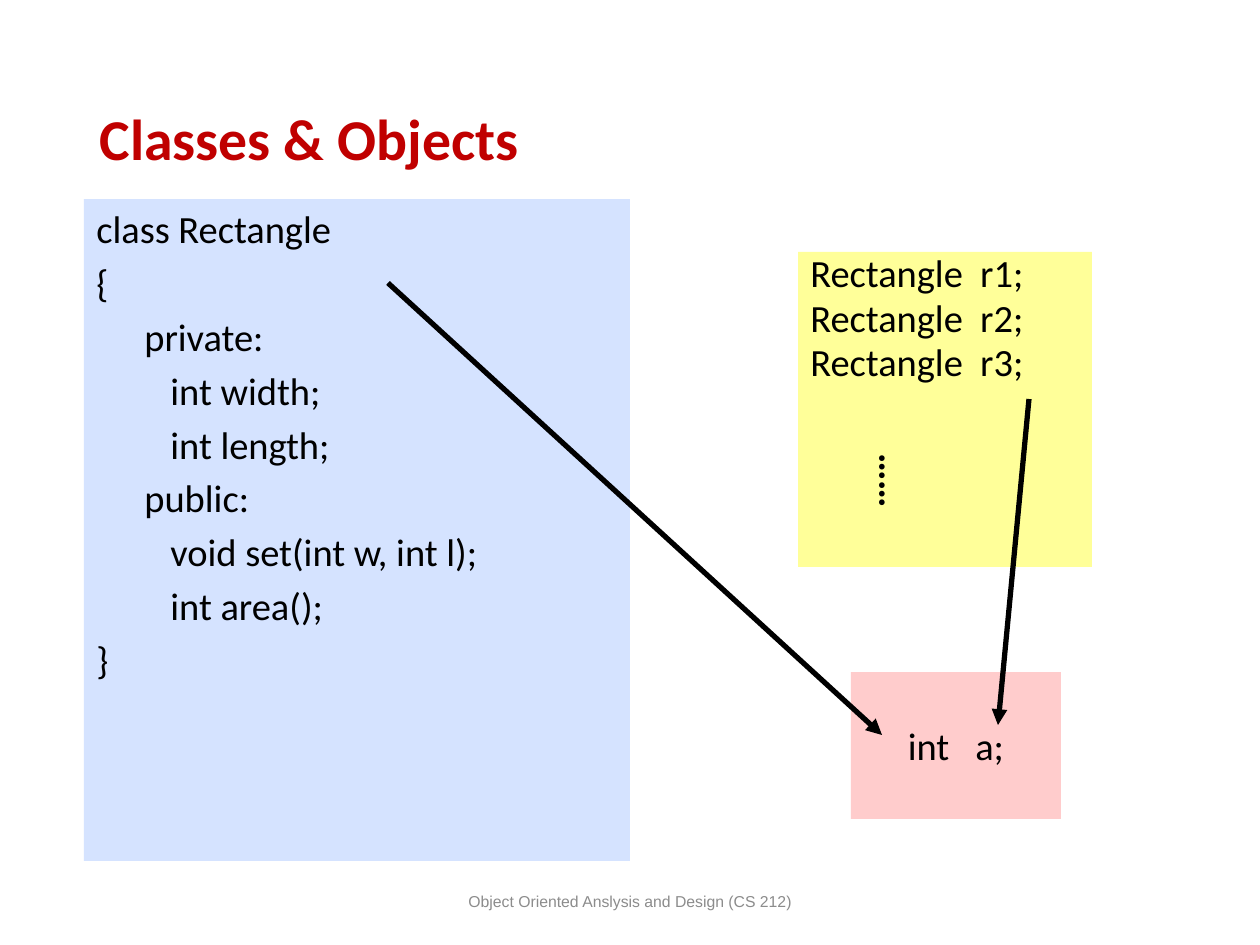
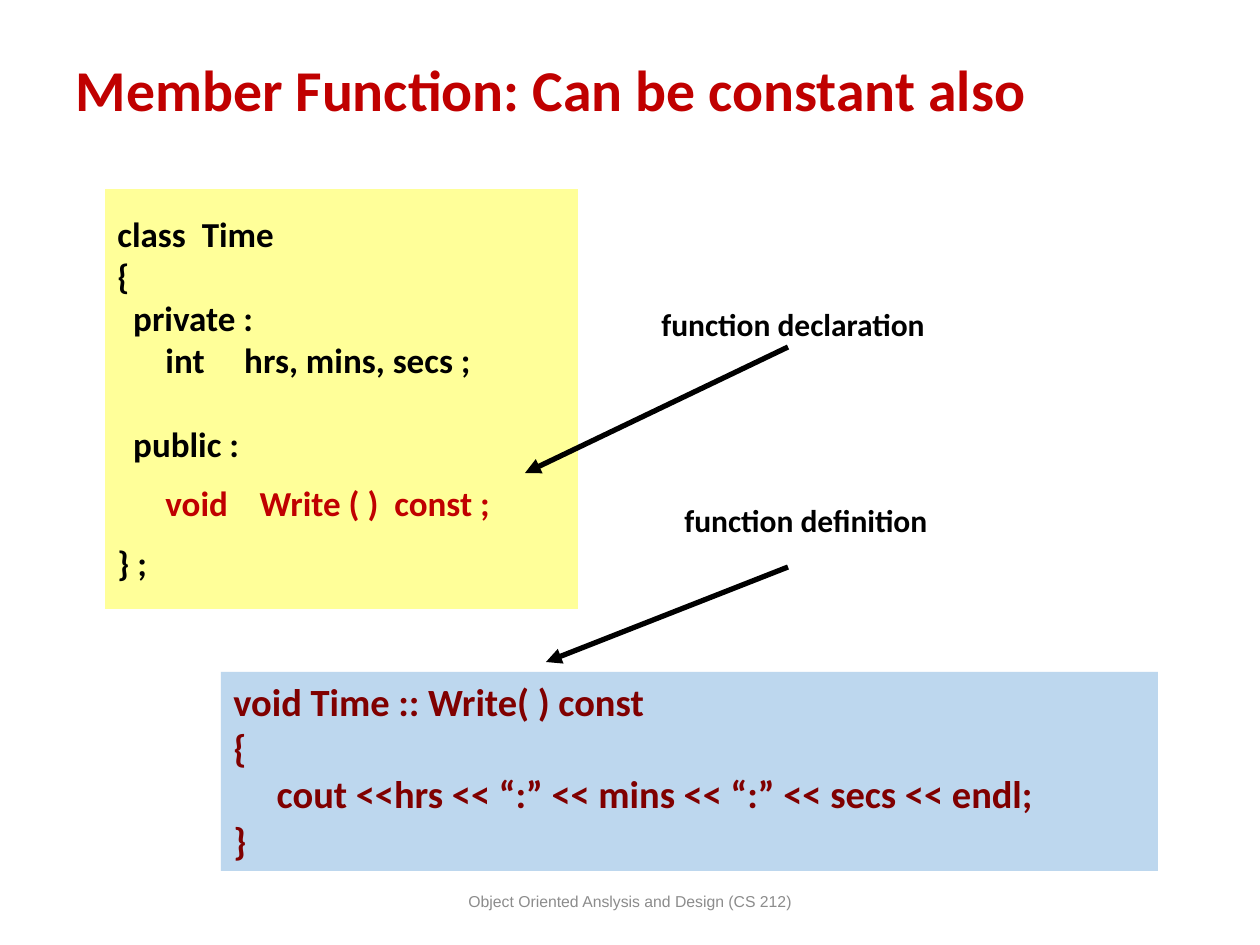
import pptx
import pptx.dml.color
import pptx.enum.shapes
import pptx.enum.text
import pptx.util
import lxml.etree
import pptx.oxml.ns

PX = 914400 / 126  # EMU in one px
COLOURS = {
    "title": "C00000",
    "text": "000000",
    "footer": "8C8C8C",
    "definition": "800000",
    "blue": "D5E3FF",
    "steel": "BDD7EE",
    "yellow": "FFFF99",
    "pink": "FFCCCC",
}
FOOTER = "Object Oriented Anslysis and Design (CS 212)"
HANGING = 48  # px from the margin to the first tab of a code line
ALIGN = pptx.enum.text.PP_ALIGN
ANCHOR = pptx.enum.text.MSO_ANCHOR
AUTO_SIZE = pptx.enum.text.MSO_AUTO_SIZE


def emu(*lengths):
    return [round(length * PX) for length in lengths]


def colour(name):
    return pptx.dml.color.RGBColor.from_string(COLOURS[name])


def add_span(para, text, size, ink="text", bold=False, font="Calibri"):
    span = para.add_run()
    span.text = text
    span.font.name = font
    span.font.size = pptx.util.Pt(size)
    span.font.bold = bold
    span.font.color.rgb = colour(ink)


def add_title(page, text, box):
    title = page.shapes.title
    title.left, title.top, title.width, title.height = emu(*box)
    frame = title.text_frame
    frame.auto_size = AUTO_SIZE.NONE
    frame.vertical_anchor = ANCHOR.MIDDLE
    para = frame.paragraphs[0]
    para.alignment = ALIGN.LEFT
    para.line_spacing = 0.9
    add_span(para, text, 33, "title", bold=True)


def add_footer(page):
    frame = page.shapes.add_textbox(*emu(417, 876, 426, 50)).text_frame
    frame.word_wrap = True
    frame.vertical_anchor = ANCHOR.MIDDLE
    para = frame.paragraphs[0]
    para.alignment = ALIGN.CENTER
    add_span(para, FOOTER, 9, "footer", font="Arial")


def add_page(deck, title, title_box):
    page = deck.slides.add_slide(deck.slide_layouts[5])
    add_title(page, title, title_box)
    add_footer(page)
    return page


def add_code(page, box, fill, lines, size, ink="text", bold=False, gap=0,
             spacing=1.0, inset=6, hanging=HANGING, align=ALIGN.LEFT):
    """Filled box of code; a line is its text, or (text, gap, ink)."""
    panel = page.shapes.add_shape(
        pptx.enum.shapes.MSO_SHAPE.RECTANGLE, *emu(*box))
    panel.shadow.inherit = False
    panel.fill.solid()
    panel.fill.fore_color.rgb = colour(fill)
    panel.line.fill.background()
    frame = panel.text_frame
    frame.word_wrap = True
    frame.vertical_anchor = ANCHOR.TOP
    frame.margin_top = emu(inset)[0]
    for index, line in enumerate(lines):
        text, before, line_ink = line if isinstance(line, tuple) else (line, gap, ink)
        para = frame.add_paragraph() if index else frame.paragraphs[0]
        para.alignment = align
        para.line_spacing = spacing
        para.space_before = pptx.util.Pt(before if index else 0)
        if hanging:
            indent = emu(hanging)[0]
            properties = para._p.get_or_add_pPr()
            properties.set("marL", str(indent))
            properties.set("indent", str(-indent))
        add_span(para, text, size, line_ink, bold)


def add_label(page, box, text, size, vertical=False):
    frame = page.shapes.add_textbox(*emu(*box)).text_frame
    frame.word_wrap = False
    frame.auto_size = AUTO_SIZE.SHAPE_TO_FIT_TEXT
    if vertical:
        frame._txBody.bodyPr.set("vert", "eaVert")
    add_span(frame.paragraphs[0], text, size, bold=True)


def add_arrow(page, start, end):
    arrow = page.shapes.add_connector(
        pptx.enum.shapes.MSO_CONNECTOR.STRAIGHT, *emu(*start, *end))
    arrow.line.color.rgb = colour("text")
    arrow.line.width = pptx.util.Pt(3)
    qn = pptx.oxml.ns.qn
    lxml.etree.SubElement(arrow.line._get_or_add_ln(), qn("a:tailEnd"), type="triangle")
    lxml.etree.SubElement(arrow._element.spPr, qn("a:effectLst"))


def build_classes_page(deck):
    page = add_page(deck, "Classes & Objects", (87, 50, 1086, 183))

    # Class definition
    add_code(page, (84, 199, 546, 662), "blue", [
        "class Rectangle",
        "{",
        "\tprivate:",
        "\t   int width;",
        "\t   int length;",
        "\tpublic:",
        "\t   void set(int w, int l);",
        "\t   int area();",
        "}",
    ], 22, gap=4.4)

    # Objects of the class
    objects = [f"Rectangle  r{number};" for number in range(1, 4)]
    add_code(page, (798, 252, 294, 315), "yellow", objects, 22, gap=4.4, spacing=0.8)
    add_label(page, (852, 441, 72, 91), "……", 22, vertical=True)

    # Plain variable for comparison
    add_code(page, (851, 672, 210, 147), "pink", ["int   a;"], 22,
             spacing=0.8, inset=59, hanging=0, align=ALIGN.CENTER)
    add_arrow(page, (388, 283), (882, 735))
    add_arrow(page, (1029, 399), (998, 725))


def build_member_function_page(deck):
    page = add_page(deck, "Member Function: Can be constant also", (63, 38, 1134, 110))

    # Class with the declaration
    add_code(page, (105, 189, 473, 420), "yellow", [
        "class  Time",
        "{",
        "  private :",
        "\tint     hrs, mins, secs ;",
        ("  public :", 24.4, "text"),
        ("\tvoid    Write ( )  const ;", 9.8, "title"),
        ("} ;", 9.8, "text"),
    ], 20, bold=True, inset=23)

    # Function definition
    add_code(page, (221, 672, 937, 199), "steel", [
        "void Time :: Write( ) const",
        "{",
        "     cout <<hrs << “:” << mins << “:” << secs << endl;",
        "}",
    ], 22, "definition", bold=True, hanging=0)

    # Labels and their arrows
    add_label(page, (649, 299, 301, 50), "function declaration", 18)
    add_arrow(page, (788, 347), (525, 473))
    add_label(page, (672, 495, 280, 50), "function definition", 18)
    add_arrow(page, (788, 567), (546, 662))


def main():
    deck = pptx.Presentation()
    deck.slide_width, deck.slide_height = emu(1260, 945)
    build_classes_page(deck)
    build_member_function_page(deck)
    deck.save("out.pptx")


if __name__ == "__main__":
    main()
